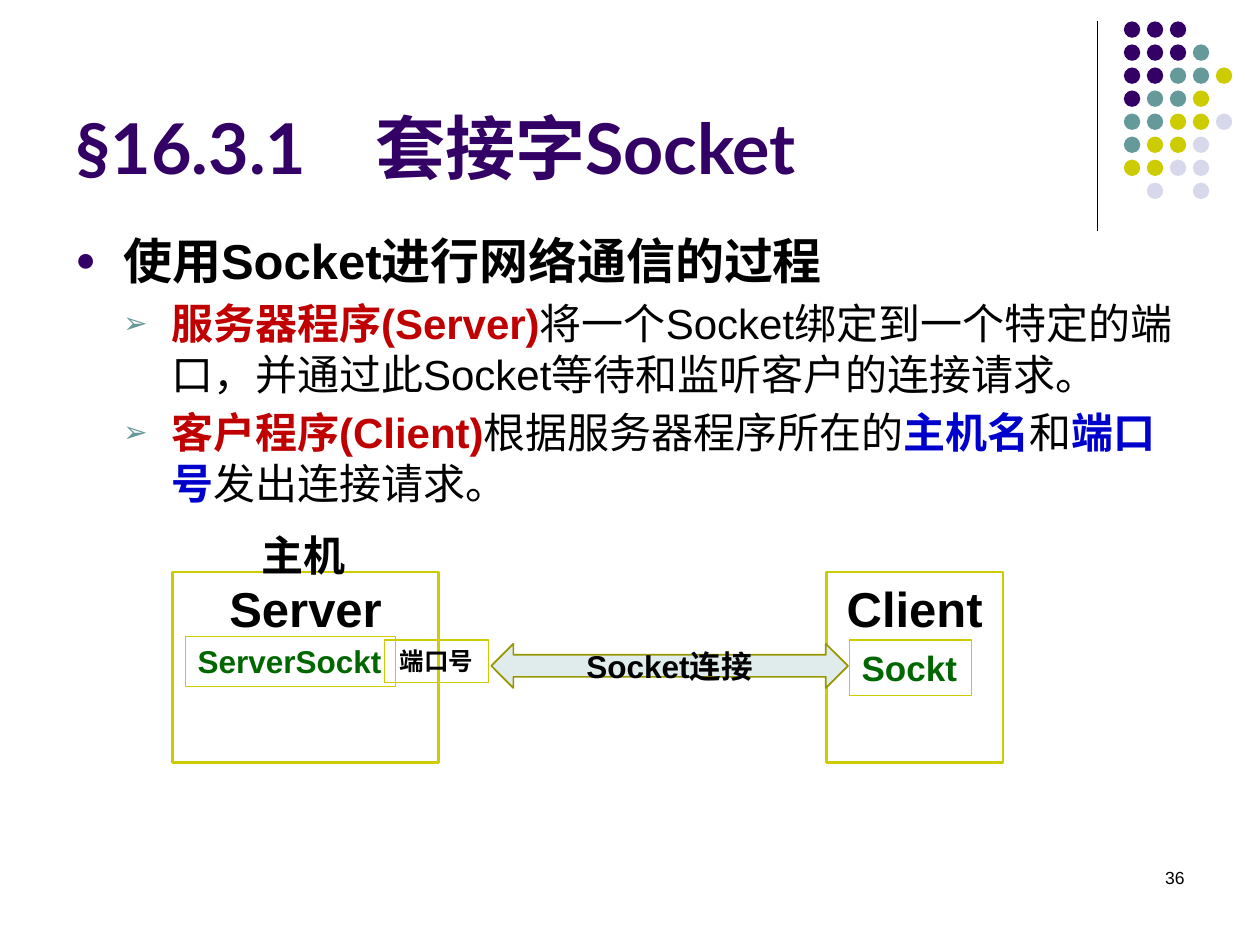
import pptx
import pptx.util
import pptx.dml.color
import pptx.enum.shapes
import pptx.enum.text
import pptx.oxml
import pptx.oxml.ns
import lxml.etree

Inches = pptx.util.Inches
Pt = pptx.util.Pt
RGBColor = pptx.dml.color.RGBColor
SHAPE = pptx.enum.shapes.MSO_SHAPE
ALIGN = pptx.enum.text.PP_ALIGN
ANCHOR = pptx.enum.text.MSO_ANCHOR
qn = pptx.oxml.ns.qn

BLACK = RGBColor(0x00, 0x00, 0x00)
PURPLE = RGBColor(0x33, 0x00, 0x66)
TEAL = RGBColor(0x66, 0x99, 0x99)
LIME = RGBColor(0xCC, 0xCC, 0x00)
LILAC = RGBColor(0xD8, 0xD8, 0xEC)
RED = RGBColor(0xC0, 0x00, 0x00)
BLUE = RGBColor(0x00, 0x00, 0xCC)
GREEN = RGBColor(0x00, 0x66, 0x00)
PALE = RGBColor(0xE0, 0xEB, 0xEB)
OLIVE = RGBColor(0x97, 0x97, 0x00)

HAN = "Noto Sans CJK SC"
DOTS = ["PPP", "PPPT", "PPTTL", "PTTL", "TTLLV", "TLLV", "LLVV", " V V"]
TINTS = {"P": PURPLE, "T": TEAL, "L": LIME, "V": LILAC}


def place(shape, box):
    shape.left, shape.top, shape.width, shape.height = map(Inches, box)


def add_run(para, text, size=24, color=BLACK, bold=True, face="Arial"):
    run = para.add_run()
    run.text = text
    font = run.font
    font.name, font.size, font.bold = face, Pt(size), bold
    font.color.rgb = color
    lxml.etree.SubElement(run._r.get_or_add_rPr(), qn("a:ea"), typeface=HAN)


def write(shape, text, align=ALIGN.LEFT, anchor=ANCHOR.TOP, wrap=True, **style):
    frame = shape.text_frame
    frame.word_wrap = wrap
    frame.auto_size = pptx.enum.text.MSO_AUTO_SIZE.NONE
    frame.vertical_anchor = anchor
    para = frame.paragraphs[0]
    para.alignment = align
    add_run(para, text, **style)
    return para


def add_text(slide, box, text, **style):
    return write(slide.shapes.add_textbox(*map(Inches, box)), text, **style)


def add_shape(slide, kind, box, fill=None, line=None, width=0.75):
    shape = slide.shapes.add_shape(kind, *map(Inches, box))
    shape.shadow.inherit = False
    if fill is None:
        shape.fill.background()
    else:
        shape.fill.solid()
        shape.fill.fore_color.rgb = fill
    if line is None:
        shape.line.fill.background()
    else:
        shape.line.color.rgb = line
        shape.line.width = Pt(width)
    return shape


def add_part(para, tag, **attrs):
    return lxml.etree.SubElement(para._p.get_or_add_pPr(), qn(tag), **attrs)


def set_bullet(para, mark, color, indent, size):
    para.space_before = Pt(size * 0.2)
    props = para._p.get_or_add_pPr()
    props.set("marL", str(Inches(indent)))
    props.set("indent", str(Inches(-0.38)))
    tint = add_part(para, "a:buClr")
    lxml.etree.SubElement(tint, qn("a:srgbClr"), val=str(color))
    add_part(para, "a:buSzPct", val="70000")
    add_part(para, "a:buFont", typeface="Arial")
    add_part(para, "a:buChar", char=mark)


def draw_dots(slide, box):
    left, top, width, height = box
    size = 0.13
    step_x = (width - size) / 4
    step_y = (height - size) / (len(DOTS) - 1)
    for row, line in enumerate(DOTS):
        for col, key in enumerate(line):
            if key in TINTS:
                spot = (left + col * step_x, top + row * step_y, size, size)
                add_shape(slide, SHAPE.OVAL, spot, fill=TINTS[key])


def draw_rule(slide, box):
    left, top, width, height = box
    rule = slide.shapes.add_connector(
        pptx.enum.shapes.MSO_CONNECTOR.STRAIGHT,
        *map(Inches, (left, top, left + width, top + height)))
    rule.line.color.rgb = BLACK
    rule.line.width = Pt(0.75)
    lxml.etree.SubElement(rule._element.spPr, qn("a:effectLst"))


def draw_title(slide, box):
    title = slide.shapes.title
    place(title, box)
    para = write(title, "§16.3.1\t套接字Socket", anchor=ANCHOR.BOTTOM,
                 size=40, color=PURPLE, face="Lato")
    tabs = add_part(para, "a:tabLst")
    lxml.etree.SubElement(tabs, qn("a:tab"), pos=str(Inches(2.38)), algn="l")


def draw_body(slide, box):
    shape = slide.shapes.add_textbox(*map(Inches, box))
    head = write(shape, "使用Socket进行网络通信的过程", size=28)
    set_bullet(head, "●", PURPLE, 0.38, 28)
    points = [
        [("服务器程序(Server)", RED),
         ("将一个Socket绑定到一个特定的端口，并通过此Socket等待和监听客户的连接请求。", BLACK)],
        [("客户程序(Client)", RED), ("根据服务器程序所在的", BLACK),
         ("主机名", BLUE), ("和", BLACK), ("端口号", BLUE),
         ("发出连接请求。", BLACK)],
    ]
    for point in points:
        para = shape.text_frame.add_paragraph()
        for text, color in point:
            add_run(para, text, color=color, bold=color != BLACK)
        set_bullet(para, "➢", TEAL, 0.76, 24)


def draw_link(slide, box):
    left, top, width, height = box
    mid = ALIGN.CENTER

    def put(kind, spot, text, fill=None, line=LIME, weight=0.75, **style):
        x, y, w, h = spot
        shape = add_shape(slide, kind, (left + x, top + y, w, h),
                          fill, line, weight)
        write(shape, text, **style)

    rect = SHAPE.RECTANGLE
    put(rect, (0, 0, 2.11, height), "Server", weight=1.5, align=mid, size=28)
    put(rect, (width - 1.4, 0, 1.4, height), "Client", weight=1.5,
        align=mid, size=28)
    put(rect, (0.1, 0.51, 1.67, 0.4), "ServerSockt", wrap=False,
        size=18, color=GREEN)
    put(rect, (5.37, 0.54, 0.97, 0.44), "Sockt", wrap=False,
        size=20, color=GREEN)
    put(SHAPE.LEFT_RIGHT_ARROW, (2.53, 0.57, 2.83, 0.35), "Socket连接",
        fill=PALE, line=OLIVE, weight=1, align=mid, anchor=ANCHOR.MIDDLE,
        size=18)
    put(rect, (1.68, 0.54, 0.83, 0.34), "端口号", align=mid, size=14, face=HAN)
    add_text(slide, (left + 0.61, top - 0.39, 0.88, 0.5), "主机", wrap=False)


def main():
    deck = pptx.Presentation()
    deck.slide_width, deck.slide_height = Inches(10), Inches(7.5)
    slide = deck.slides.add_slide(deck.slide_layouts[5])
    draw_rule(slide, (8.71, 0.17, 0, 1.66))
    draw_dots(slide, (8.92, 0.17, 0.86, 1.41))
    draw_title(slide, (0.5, 0.13, 8.25, 1.42))
    draw_body(slide, (0.5, 1.78, 9, 4.92))
    add_text(slide, (7.17, 6.83, 2.33, 0.5), "36", align=ALIGN.RIGHT,
             size=10, bold=False)
    draw_link(slide, (1.37, 4.54, 6.59, 1.51))
    deck.save("out.pptx")


if __name__ == "__main__":
    main()
